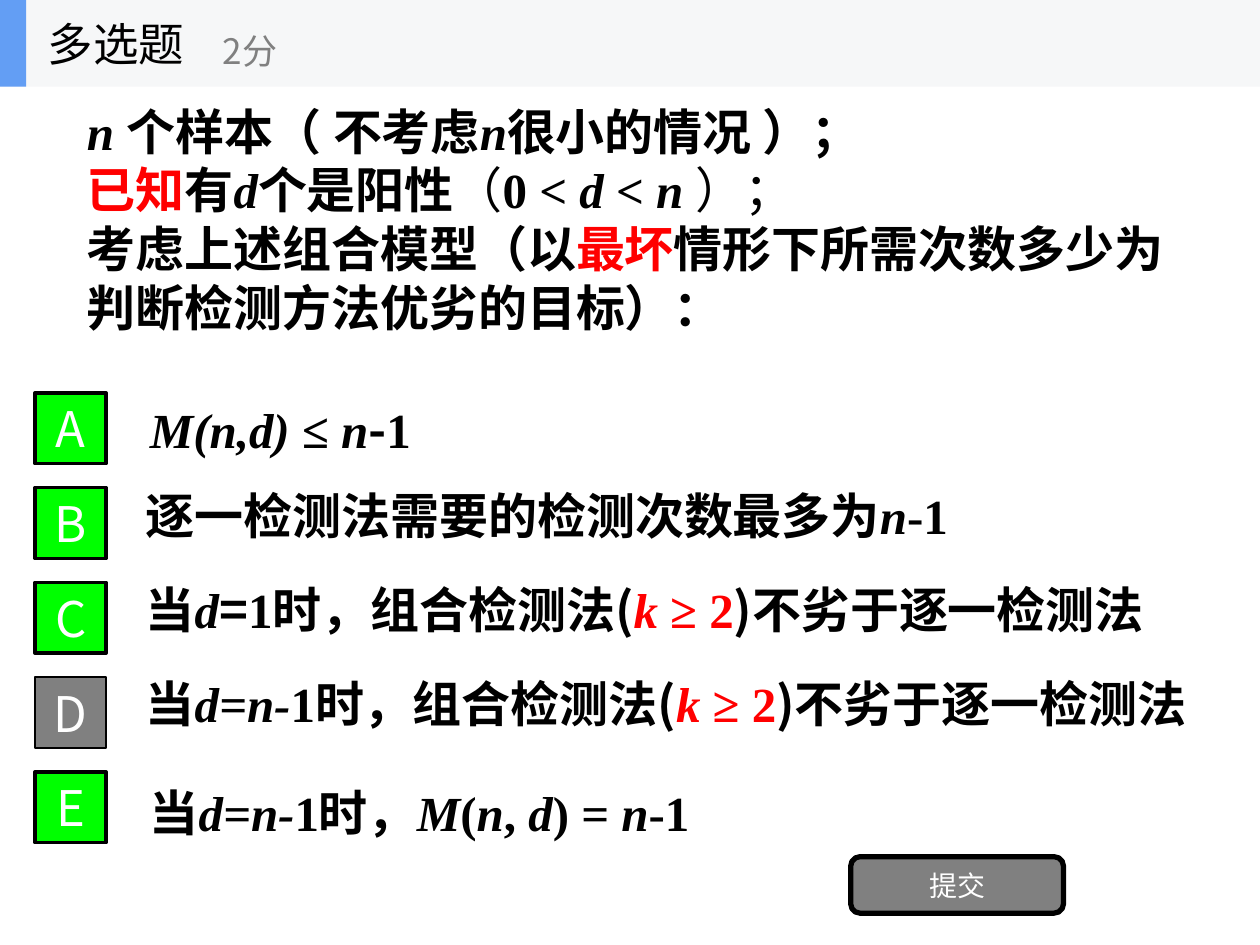
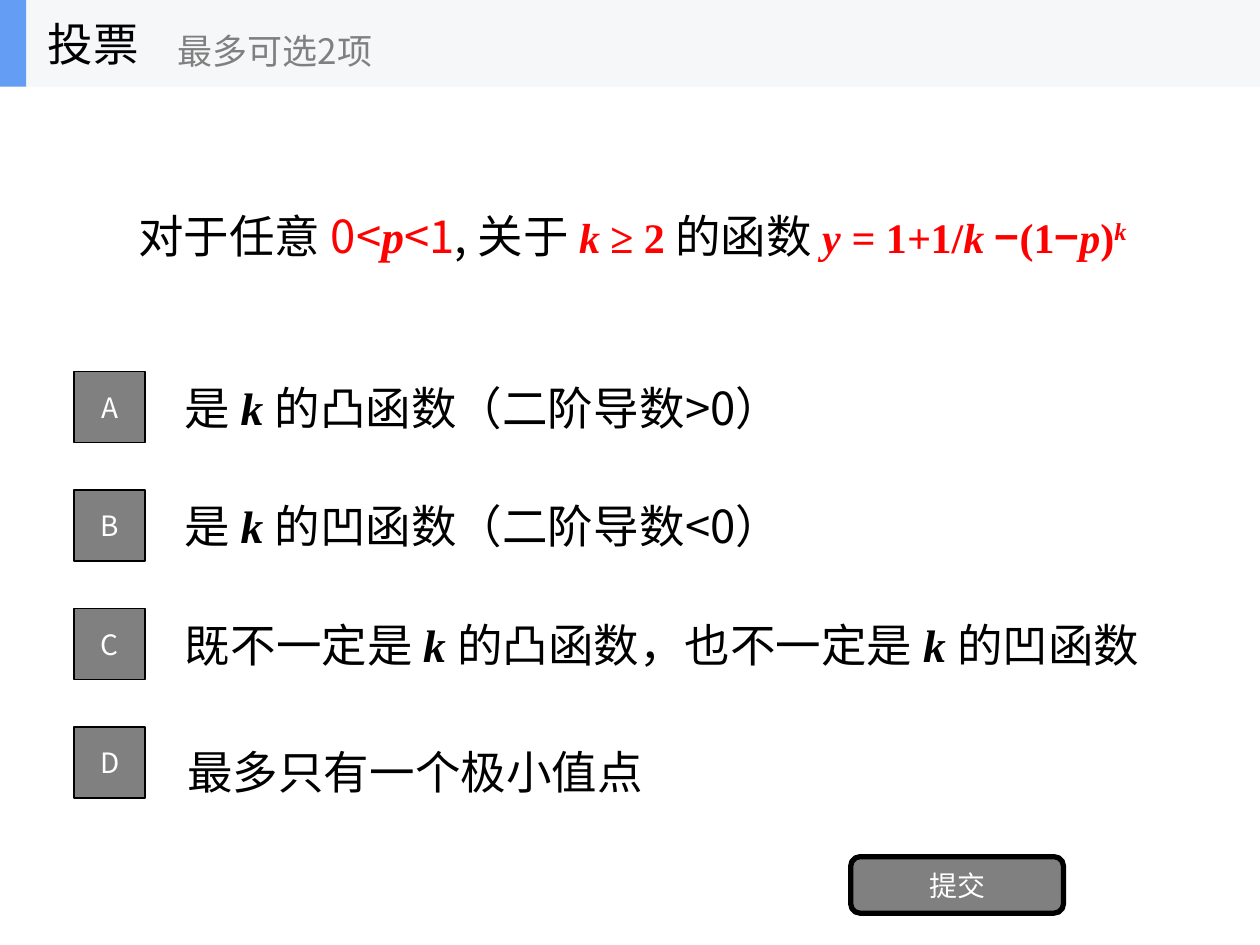
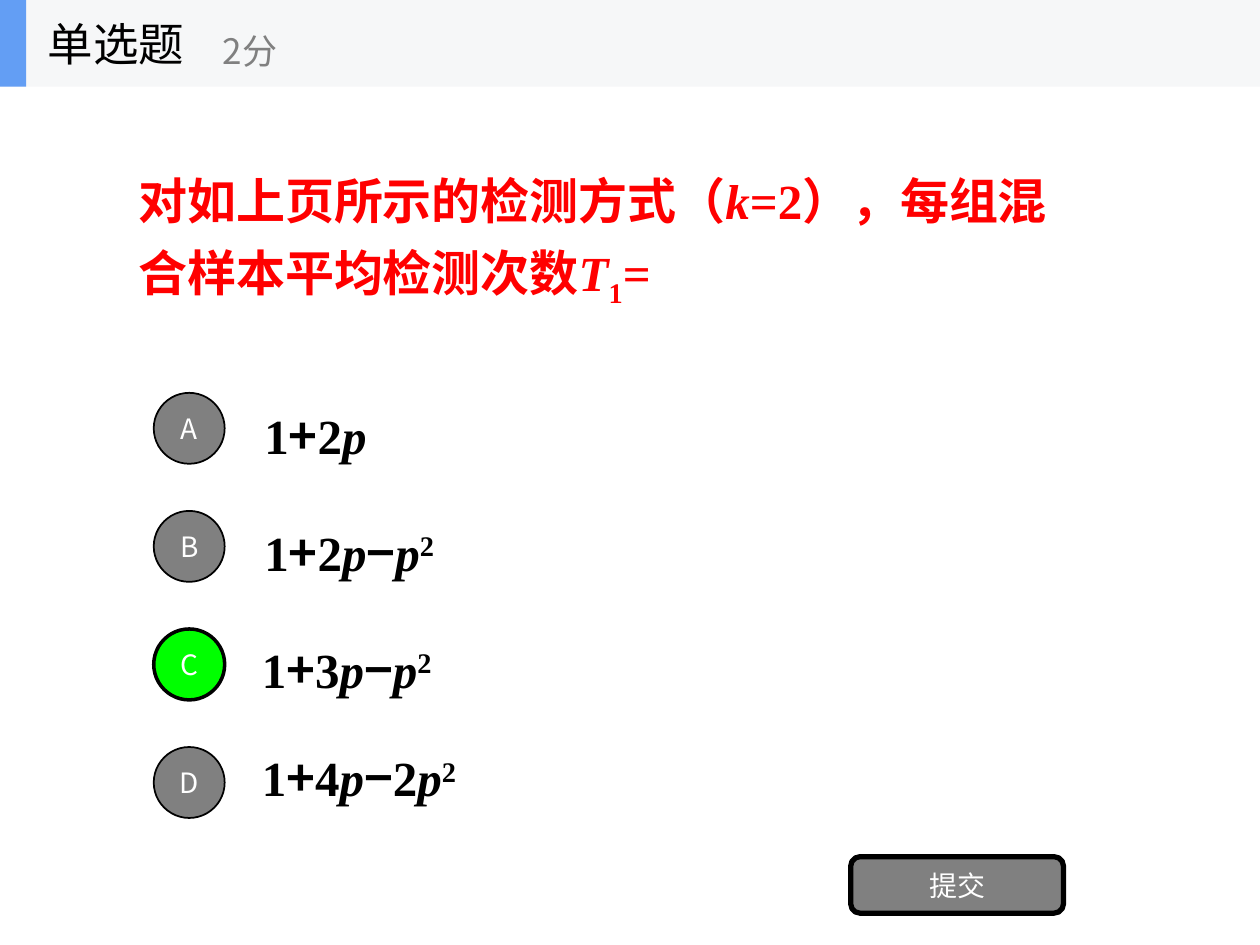
from dataclasses import dataclass

from lxml.etree import SubElement
from pptx import Presentation
from pptx.dml.color import RGBColor
from pptx.enum.shapes import MSO_SHAPE
from pptx.enum.text import MSO_ANCHOR, MSO_AUTO_SIZE, PP_ALIGN
from pptx.oxml.ns import qn
from pptx.util import Cm, Pt


@dataclass(frozen=True)
class Theme:
    sans: str = "Noto Sans CJK SC"
    serif: str = "Times New Roman"
    ink: str = "000000"
    red: str = "FF0000"
    white: str = "FFFFFF"
    grey: str = "808080"
    green: str = "00FF00"
    band: str = "F6F7F8"
    accent: str = "639EF4"
    title: int = 26
    hint: int = 20
    button: int = 16
    body: int = 28
    formula: int = 24


THEME = Theme()

# Run flags: s serif, b bold, i italic, r red, m formula size, ^ superscript, _ subscript
QUESTIONS = [
    {
        "title": "多选题", "hint": "2分", "hint_left": 4.24,
        "size": THEME.body, "spacing": 1.0,
        "prompt_box": (1.5, 1.91, 23.01, 5.0),
        "prompt": [
            [("n ", "sbi"), ("个样本（ 不考虑", "sb"), ("n", "sbi"), ("很小的情况 ）；", "sb")],
            [("已知", "sbr"), ("有", "sb"), ("d", "sbi"), ("个是阳性", "sb"), ("（", ""),
             ("0 < ", "sb"), ("d", "sbi"), (" < ", "sb"), ("n ", "sbi"), ("）；", "")],
            [("考虑上述组合模型（以", "sb"), ("最坏", "sbr"),
             ("情形下所需次数多少为判断检测方法优劣的目标）：", "sb")],
        ],
        "marker": MSO_SHAPE.RECTANGLE, "marker_size": THEME.body,
        "marker_left": 0.71, "marker_top": 7.92, "pitch": 1.91, "correct": "ABCE",
        "options": [
            ((2.77, 7.75, 17.78, 1.78),
             [("M(n,d) ", "sbi"), ("≤ ", "sb"), ("n", "sbi"), ("-", "b"), ("1", "sb")]),
            ((2.69, 9.5, 17.78, 1.78),
             [("逐一检测法需要的检测次数最多为", "b"), ("n", "sbi"), ("-1", "sb")]),
            ((2.69, 11.38, 22.23, 1.78),
             [("当", "b"), ("d", "sbi"), ("=", "b"), ("1", "sb"), ("时，组合检测法(", "b"),
              ("k ", "sbir"), ("≥ 2", "sbr"), (")不劣于逐一检测法", "b")]),
            ((2.69, 13.28, 22.02, 1.78),
             [("当", "b"), ("d=n-", "sbi"), ("1", "sb"), ("时，组合检测法(", "b"),
              ("k ", "sbir"), ("≥ 2", "sbr"), (")不劣于逐一检测法", "b")]),
            ((2.77, 15.19, 18.31, 2.34),
             [("当", "b"), ("d=n-", "sbi"), ("1", "sb"), ("时，", "b"), ("M", "sbi"),
              ("(", "sb"), ("n", "sbi"), (", ", "sb"), ("d", "sbi"), (") = ", "sb"),
              ("n", "sbi"), ("-1", "sb")]),
        ],
    },
    {
        "title": "投票", "hint": "最多可选2项", "hint_left": 3.33,
        "size": THEME.title, "spacing": 1.0,
        "prompt_box": (2.54, 1.75, 22.5, 5.97),
        "prompt": [
            [("对于任意 ", ""), ("0<", "r"), ("p", "sbir"), ("<1", "r"), (", 关于 ", ""),
             ("k", "sbirm"), (" ≥ 2", "sbrm"), (" 的函数 ", ""), ("y = ", "sbirm"),
             ("1", "sbrm"), ("+", "sbirm"), ("1/", "sbrm"), ("k ", "sbirm"), ("−", "brm"),
             ("(1", "sbrm"), ("−", "brm"), ("p", "sbirm"), (")", "sbrm"), ("k", "sbirm^")],
        ],
        "marker": MSO_SHAPE.RECTANGLE, "marker_size": THEME.button,
        "marker_left": 1.5, "marker_top": 7.49, "pitch": 2.39, "correct": "",
        "options": [
            ((3.48, 7.32, 17.78, 1.78),
             [("是 ", ""), ("k ", "sbi"), ("的凸函数（二阶导数>0）", "")]),
            ((3.48, 9.7, 17.78, 1.78),
             [("是 ", ""), ("k ", "sbi"), ("的凹函数（二阶导数<0）", "")]),
            ((3.48, 12.09, 21.01, 1.78),
             [("既不一定是 ", ""), ("k ", "sbi"), ("的凸函数，也不一定是 ", ""),
              ("k ", "sbi"), ("的凹函数", "")]),
            ((3.53, 14.66, 13.0, 1.78), [("最多只有一个极小值点", "")]),
        ],
    },
    {
        "title": "单选题", "hint": "2分", "hint_left": 4.24,
        "size": THEME.body, "spacing": 1.2,
        "prompt_box": (2.54, 1.75, 18.9, 5.94),
        "prompt": [
            [("对如上页所示的检测方式（", "sbr"), ("k", "sbir"),
             ("=2），每组混合样本平均检测次数", "sbr"), ("T", "sbir"), ("1", "sbr_"),
             ("=", "sbr")],
        ],
        "marker": MSO_SHAPE.OVAL, "marker_size": THEME.button,
        "marker_left": 3.1, "marker_top": 7.92, "pitch": 2.38, "correct": "C",
        "options": [
            ((5.08, 7.75, 17.78, 1.78),
             [("1", "sb"), ("+", "b"), ("2", "sb"), ("p", "sbi")]),
            ((5.08, 10.11, 17.78, 1.78),
             [("1", "sb"), ("+", "b"), ("2", "sb"), ("p", "sbi"), ("−", "b"),
              ("p", "sbi"), ("2", "sb^")]),
            ((5.03, 12.47, 17.78, 1.78),
             [("1", "sb"), ("+", "b"), ("3", "sb"), ("p", "sbi"), ("−", "b"),
              ("p", "sbi"), ("2", "sb^")]),
            ((5.03, 14.66, 17.78, 1.78),
             [("1", "sb"), ("+", "b"), ("4", "sb"), ("p", "sbi"), ("−", "b"),
              ("2", "sb"), ("p", "sbi"), ("2", "sb^")]),
        ],
    },
]

BANDS = [((0, 0, 25.4, 1.75), THEME.band), ((0, 0, 0.53, 1.75), THEME.accent)]
TITLE_BOX = (0.71, 0, 5.28, 1.75)
HINT_TOP, HINT_WIDTH, HINT_HEIGHT = 0.3, 6.35, 1.42
SUBMIT, SUBMIT_BOX = "提交", (17.15, 17.27, 4.29, 1.14)
MARKER_SIDE = 1.43
BASELINES = {"^": "30000", "_": "-25000"}
TEXT_FRAME = {"word_wrap": True, "auto_size": MSO_AUTO_SIZE.NONE,
              "vertical_anchor": MSO_ANCHOR.MIDDLE}
NO_MARGINS = dict.fromkeys(
    ("margin_left", "margin_right", "margin_top", "margin_bottom"), 0)


def apply(target, formats):
    for attribute, value in formats.items():
        setattr(target, attribute, value)


def lengths(box):
    return [Cm(length) for length in box]


def add_run(paragraph, words, flags, size, color):
    run = paragraph.add_run()
    run.text = words
    apply(run.font, {
        "name": THEME.serif if "s" in flags else THEME.sans,
        "size": Pt(THEME.formula if "m" in flags else size),
        "bold": "b" in flags,
        "italic": "i" in flags,
    })
    run.font.color.rgb = RGBColor.from_string(THEME.red if "r" in flags else color)
    properties = run.font._element
    SubElement(properties, qn("a:ea"), typeface=THEME.sans)
    for flag, baseline in BASELINES.items():
        if flag in flags:
            properties.set("baseline", baseline)


def write(frame, paragraphs, size, color=THEME.ink, align=PP_ALIGN.LEFT, spacing=1.0):
    apply(frame, TEXT_FRAME)
    for index, runs in enumerate(paragraphs):
        paragraph = frame.add_paragraph() if index else frame.paragraphs[0]
        apply(paragraph, {"alignment": align, "line_spacing": spacing})
        for words, flags in runs:
            add_run(paragraph, words, flags, size, color)


def add_text(slide, box, paragraphs, size, **style):
    write(slide.shapes.add_textbox(*lengths(box)).text_frame, paragraphs, size, **style)


def add_block(slide, kind, box, fill, border=0):
    block = slide.shapes.add_shape(kind, *lengths(box))
    block.shadow.inherit = False
    block.fill.solid()
    block.fill.fore_color.rgb = RGBColor.from_string(fill)
    if border:
        block.line.color.rgb = RGBColor.from_string(THEME.ink)
        block.line.width = Pt(border)
    else:
        block.line.fill.background()
    return block


def add_button(slide, kind, box, label, size, fill, border):
    frame = add_block(slide, kind, box, fill, border).text_frame
    apply(frame, NO_MARGINS)
    write(frame, [[(label, "")]], size, THEME.white, PP_ALIGN.CENTER)


def add_header(slide, question):
    for box, fill in BANDS:
        add_block(slide, MSO_SHAPE.RECTANGLE, box, fill)
    title = slide.shapes.title
    apply(title, dict(zip(("left", "top", "width", "height"), lengths(TITLE_BOX))))
    write(title.text_frame, [[(question["title"], "")]], THEME.title)
    slide.shapes._spTree.append(title._element)
    add_text(slide, (question["hint_left"], HINT_TOP, HINT_WIDTH, HINT_HEIGHT),
             [[(question["hint"], "")]], THEME.hint, color=THEME.grey)


def add_options(slide, question):
    for index, (box, runs) in enumerate(question["options"]):
        letter = "ABCDE"[index]
        correct = letter in question["correct"]
        top = question["marker_top"] + index * question["pitch"]
        add_button(slide, question["marker"],
                   (question["marker_left"], top, MARKER_SIDE, MARKER_SIDE),
                   letter, question["marker_size"],
                   THEME.green if correct else THEME.grey, 2 if correct else 1)
        add_text(slide, box, [runs], question["size"], spacing=question["spacing"])


def main():
    deck = Presentation()
    apply(deck, {"slide_width": Cm(25.4), "slide_height": Cm(19.05)})
    for question in QUESTIONS:
        slide = deck.slides.add_slide(deck.slide_layouts.get_by_name("Title Only"))
        add_header(slide, question)
        add_text(slide, question["prompt_box"], question["prompt"], question["size"],
                 spacing=question["spacing"])
        add_options(slide, question)
        add_button(slide, MSO_SHAPE.ROUNDED_RECTANGLE, SUBMIT_BOX, SUBMIT,
                   THEME.button, THEME.grey, 3)
    deck.save("out.pptx")


if __name__ == "__main__":
    main()
